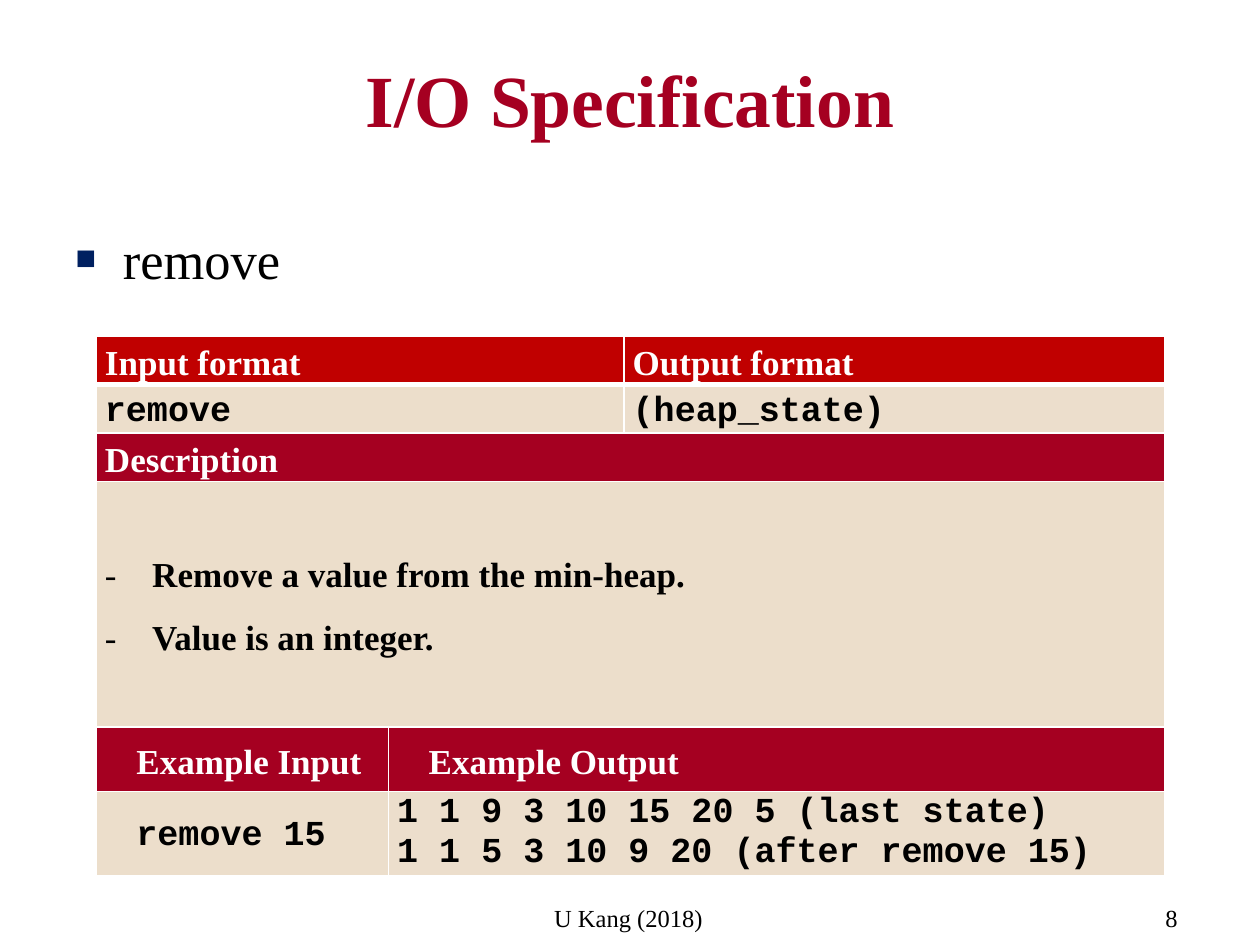
from dataclasses import dataclass

from lxml.etree import SubElement
from pptx import Presentation
from pptx.dml.color import RGBColor
from pptx.enum.text import MSO_ANCHOR, MSO_AUTO_SIZE, PP_ALIGN
from pptx.oxml import parse_xml
from pptx.oxml.ns import nsdecls, qn
from pptx.util import Pt


@dataclass(frozen=True)
class Theme:
    serif: str = "Times New Roman"
    mono: str = "Courier New"
    crimson: str = "A50021"
    red: str = "C00000"
    sand: str = "ECDECB"
    light_sand: str = "ECDECC"
    navy: str = "002060"
    black: str = "000000"
    white: str = "FFFFFF"
    title_size: int = 42
    body_size: int = 30
    table_size: int = 20
    footer_size: int = 14


@dataclass(frozen=True)
class Entry:
    """Content and look of one table cell."""
    row: int
    first_col: int
    last_col: int
    lines: tuple
    fill: str
    color: str
    font: str = Theme.serif
    margin: float = 0
    hanging: float = 0
    bullet: str = ""
    loose: bool = True


class SlideBuilder:
    def __init__(self, slide, theme):
        self.slide = slide
        self.theme = theme

    def place(self, shape, left, top, width, height):
        shape.left, shape.top = Pt(left), Pt(top)
        shape.width, shape.height = Pt(width), Pt(height)

    def run(self, paragraph, text, size, color, font=Theme.serif, bold=False):
        run = paragraph.add_run()
        run.text = text
        run.font.name, run.font.size, run.font.bold = font, Pt(size), bold
        run.font.color.rgb = RGBColor.from_string(color)

    def indent(self, paragraph, margin, hanging, bullet="", color=None, percent=100):
        props = paragraph._p.get_or_add_pPr()
        props.set("marL", str(Pt(margin)))
        props.set("indent", str(-Pt(hanging)))
        if not bullet:
            SubElement(props, qn("a:buNone"))
            return
        if color:
            SubElement(SubElement(props, qn("a:buClr")), qn("a:srgbClr"), val=color)
        SubElement(props, qn("a:buSzPct"), val=str(percent * 1000))
        SubElement(props, qn("a:buFont"), typeface=self.theme.serif)
        SubElement(props, qn("a:buChar"), char=bullet)

    def title(self, text, *box):
        holder = self.slide.shapes.title
        self.place(holder, *box)
        frame = holder.text_frame
        frame.auto_size = MSO_AUTO_SIZE.NONE
        frame.vertical_anchor = MSO_ANCHOR.TOP
        frame.margin_top = Pt(9)
        frame.paragraphs[0].alignment = PP_ALIGN.CENTER
        self.run(frame.paragraphs[0], text, self.theme.title_size,
                 self.theme.crimson, bold=True)

    def body(self, text, *box):
        holder = self.slide.placeholders[1]
        self.place(holder, *box)
        frame = holder.text_frame
        frame.auto_size = MSO_AUTO_SIZE.NONE
        frame.vertical_anchor = MSO_ANCHOR.TOP
        item = frame.paragraphs[0]
        item.space_before = Pt(6)
        self.indent(item, 27, 27, "■", self.theme.navy, 65)
        self.run(item, text, self.theme.body_size, self.theme.black)

    def footer(self, text, *box):
        frame = self.slide.shapes.add_textbox(*map(Pt, box)).text_frame
        frame.word_wrap = False
        frame.auto_size = MSO_AUTO_SIZE.SHAPE_TO_FIT_TEXT
        self.run(frame.paragraphs[0], text, self.theme.footer_size, self.theme.black)

    def borders(self, cell, header):
        props = cell._tc.get_or_add_tcPr()
        for position, side in enumerate("LRTB"):
            width = 3 if header and side == "B" else 1
            props.insert(position, parse_xml(
                f'<a:ln{side} {nsdecls("a")} w="{Pt(width)}"><a:solidFill>'
                f'<a:srgbClr val="{self.theme.white}"/></a:solidFill></a:ln{side}>'))

    def fill_cell(self, cell, entry):
        cell.vertical_anchor = MSO_ANCHOR.MIDDLE
        cell.margin_left = cell.margin_right = Pt(5)
        cell.margin_top = cell.margin_bottom = 0
        frame = cell.text_frame
        for number, line in enumerate(entry.lines):
            paragraph = frame.add_paragraph() if number else frame.paragraphs[0]
            if entry.loose:
                paragraph.line_spacing = 1.15
                paragraph.space_after = Pt(10)
            if entry.margin:
                paragraph.alignment = PP_ALIGN.JUSTIFY
                self.indent(paragraph, entry.margin, entry.hanging, entry.bullet)
            self.run(paragraph, line, self.theme.table_size, entry.color,
                     entry.font, bold=True)

    def table(self, left, top, widths, heights, entries):
        table = self.slide.shapes.add_table(
            len(heights), len(widths), Pt(left), Pt(top),
            Pt(sum(widths)), Pt(sum(heights))).table
        for column, width in zip(table.columns, widths):
            column.width = Pt(width)
        for row, height in zip(table.rows, heights):
            row.height = Pt(height)
        for entry in entries:
            first = table.cell(entry.row, entry.first_col)
            if entry.last_col > entry.first_col:
                first.merge(table.cell(entry.row, entry.last_col))
            self.fill_cell(first, entry)
            for col in range(entry.first_col, entry.last_col + 1):
                cell = table.cell(entry.row, col)
                cell.fill.solid()
                cell.fill.fore_color.rgb = RGBColor.from_string(entry.fill)
                self.borders(cell, header=entry.row == 0)


def main():
    theme = Theme()
    deck = Presentation()
    deck.slide_width, deck.slide_height = Pt(720), Pt(540)
    page = SlideBuilder(deck.slides.add_slide(deck.slide_layouts[1]), theme)

    # Footer line
    page.footer("U Kang (2018)", 309.6, 512.6, 100, 24.5)
    page.footer("8", 658.8, 512.6, 31, 24.5)

    # Heading and command name
    page.title("I/O Specification", 36, 21.6, 648, 90)
    page.body("remove", 36, 126, 648, 66)

    # Command specification: formats, description, example
    entries = [
        Entry(0, 0, 1, ("Input format",), theme.red, theme.white),
        Entry(0, 2, 2, ("Output format",), theme.red, theme.white),
        Entry(1, 0, 1, ("remove",), theme.sand, theme.black, theme.mono),
        Entry(1, 2, 2, ("(heap_state)",), theme.light_sand, theme.black, theme.mono),
        Entry(2, 0, 2, ("Description",), theme.crimson, theme.white),
        Entry(3, 0, 2, ("Remove a value from the min-heap.", "Value is an integer."),
              theme.sand, theme.black, margin=27, hanging=27, bullet="-"),
        Entry(4, 0, 0, ("Example Input",), theme.crimson, theme.white,
              margin=36, hanging=18),
        Entry(4, 1, 2, ("Example Output",), theme.crimson, theme.white,
              margin=36, hanging=18),
        Entry(5, 0, 0, ("remove 15",), theme.sand, theme.black, theme.mono,
              margin=36, hanging=18),
        Entry(5, 1, 2, ("1 1 9 3 10 15 20 5 (last state)",
                        "1 1 5 3 10 9 20 (after remove 15)"),
              theme.light_sand, theme.black, theme.mono, loose=False),
    ]
    page.table(55, 192.2, [167, 134.6, 308.9],
               [27.2, 27.2, 27.2, 140.4, 36.7, 41], entries)

    deck.save("out.pptx")


if __name__ == "__main__":
    main()
